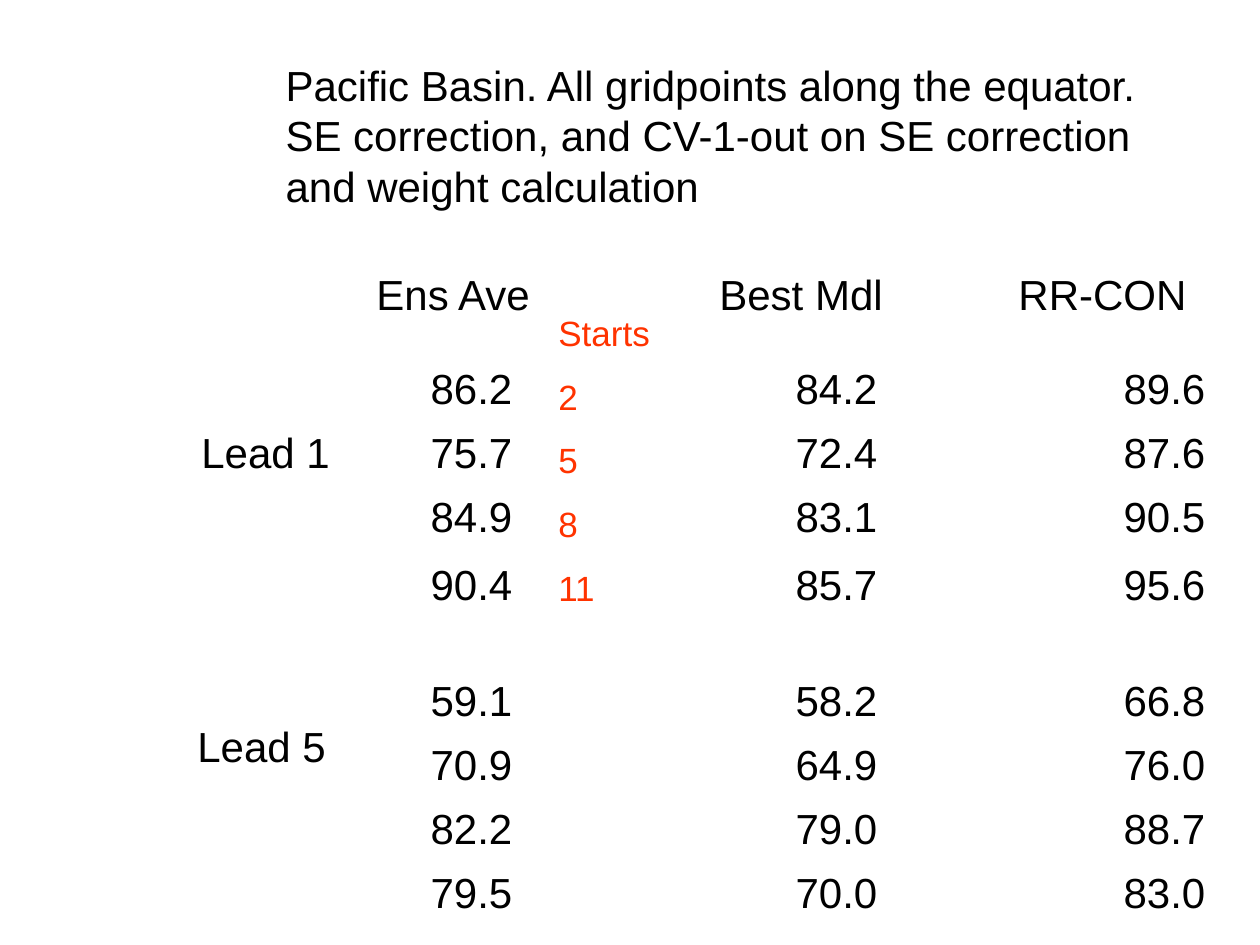
from dataclasses import dataclass

from lxml import etree
from pptx import Presentation
from pptx.dml.color import RGBColor
from pptx.enum.text import MSO_ANCHOR, MSO_AUTO_SIZE, PP_ALIGN
from pptx.oxml.ns import qn
from pptx.util import Emu, Pt

LEFT, RIGHT = PP_ALIGN.LEFT, PP_ALIGN.RIGHT
TOP, BOTTOM = MSO_ANCHOR.TOP, MSO_ANCHOR.BOTTOM
NO_AUTOFIT = MSO_AUTO_SIZE.NONE
TITLE_ONLY = 5
PX = 914400 / 126


@dataclass(frozen=True)
class Theme:
    font: str = "Arial"
    ink: RGBColor = RGBColor(0, 0, 0)
    accent: RGBColor = RGBColor(0xFF, 0x33, 0x00)
    body: int = 24
    small: int = 20
    leading: float = 1.2


THEME = Theme()


def px(length):
    return Emu(round(length * PX))


def write(frame, lines, size=THEME.body, color=THEME.ink, align=LEFT, gap=0, tabs=()):
    """Fill a text frame, one paragraph per line, with tab stops in px."""
    frame.word_wrap = True
    for number, line in enumerate(lines):
        para = frame.add_paragraph() if number else frame.paragraphs[0]
        para.alignment = align
        para.line_spacing = Pt(size * THEME.leading)
        para.space_before = Pt(gap if number else 0)
        if tabs:
            tab_list = etree.SubElement(para._p.get_or_add_pPr(), qn("a:tabLst"))
            for stop in tabs:
                etree.SubElement(tab_list, qn("a:tab"), pos=str(px(stop)), algn="l")
        span = para.add_run()
        span.text = line
        span.font.name = THEME.font
        span.font.size = Pt(size)
        span.font.color.rgb = color


deck = Presentation()
deck.slide_width, deck.slide_height = px(1260), px(945)
page = deck.slides.add_slide(deck.slide_layouts[TITLE_ONLY])

# Scores: four starts for each lead, one column per method
scores = [
    ("86.2", "84.2", "89.6"),
    ("75.7", "72.4", "87.6"),
    ("84.9", "83.1", "90.5"),
    ("90.4", "85.7", "95.6"),
    ("59.1", "58.2", "66.8"),
    ("70.9", "64.9", "76.0"),
    ("82.2", "79.0", "88.7"),
    ("79.5", "70.0", "83.0"),
]
column_widths = [472, 365, 328]
row_heights = [168, 64, 64, 68, 116, 64, 64, 64]
table = page.shapes.add_table(
    len(scores), len(column_widths),
    px(53), px(252), px(sum(column_widths)), px(sum(row_heights)),
).table
table.first_row = False
table.horz_banding = False
for column, width in zip(table.columns, column_widths):
    column.width = px(width)
for row, height, values in zip(table.rows, row_heights, scores):
    row.height = px(height)
    for cell, value in zip(row.cells, values):
        cell.fill.background()
        cell.vertical_anchor = BOTTOM
        write(cell.text_frame, [value], align=RIGHT)

# Column heads, lead labels and start months
labels = [
    ((283, 262, 977, 63), ["\tEns Ave\tBest Mdl\tRR-CON"], {"tabs": (81, 424, 723)}),
    ((189, 420, 252, 63), ["Lead 1"], {}),
    ((185, 714, 204, 63), ["Lead 5"], {}),
    ((546, 305, 179, 310), ["Starts", "2", "5", "8", "11"],
     {"size": THEME.small, "color": THEME.accent, "gap": 12.5}),
]
for bounds, lines, style in labels:
    box = page.shapes.add_textbox(*map(px, bounds))
    write(box.text_frame, lines, **style)

title = page.shapes.title
title.left, title.top, title.width, title.height = map(px, (273, 53, 935, 164))
title.text_frame.auto_size = NO_AUTOFIT
title.text_frame.vertical_anchor = TOP
write(title.text_frame, [
    "Pacific Basin. All gridpoints along the equator. "
    "SE correction, and CV-1-out on SE correction and weight calculation"
])

deck.save("out.pptx")
